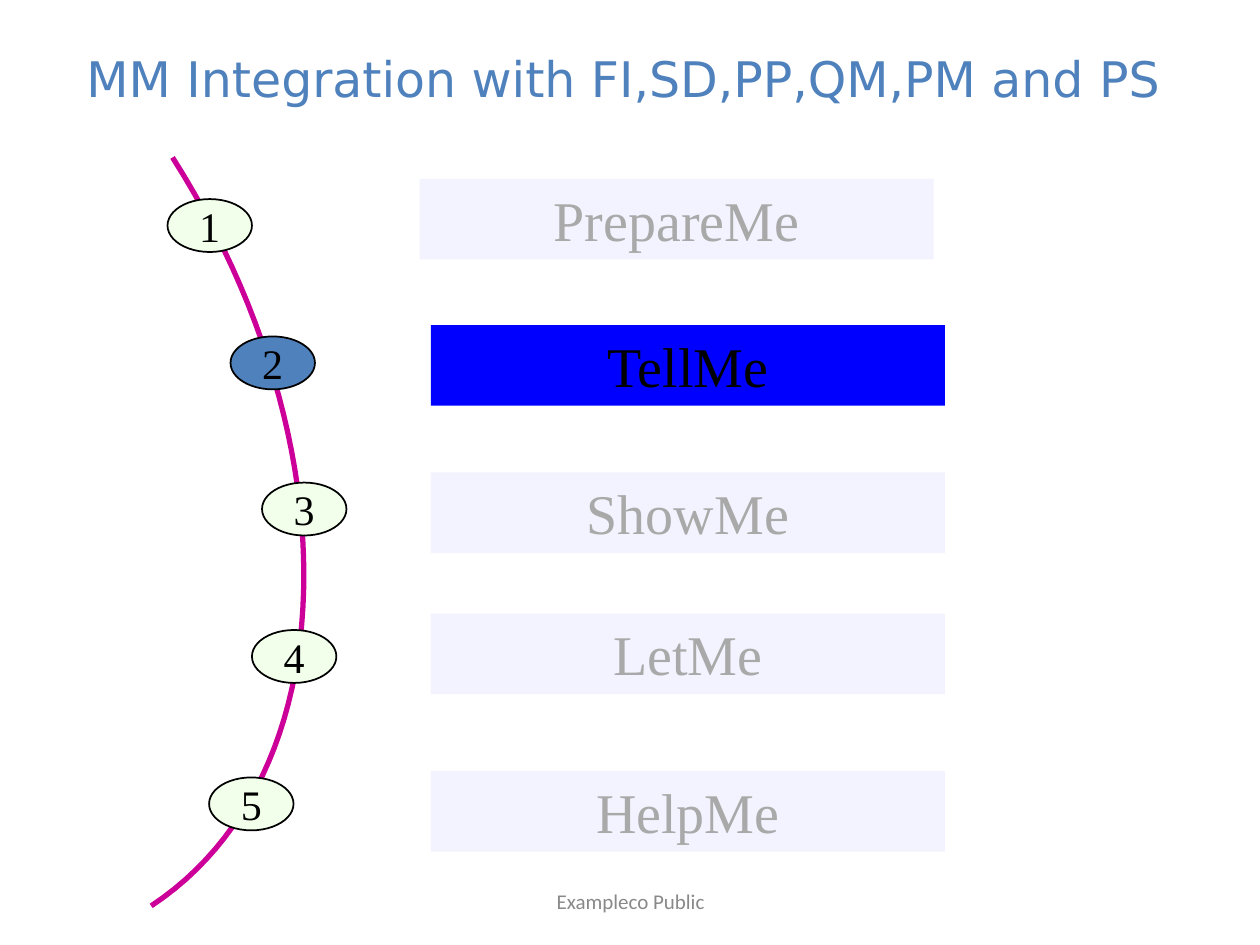
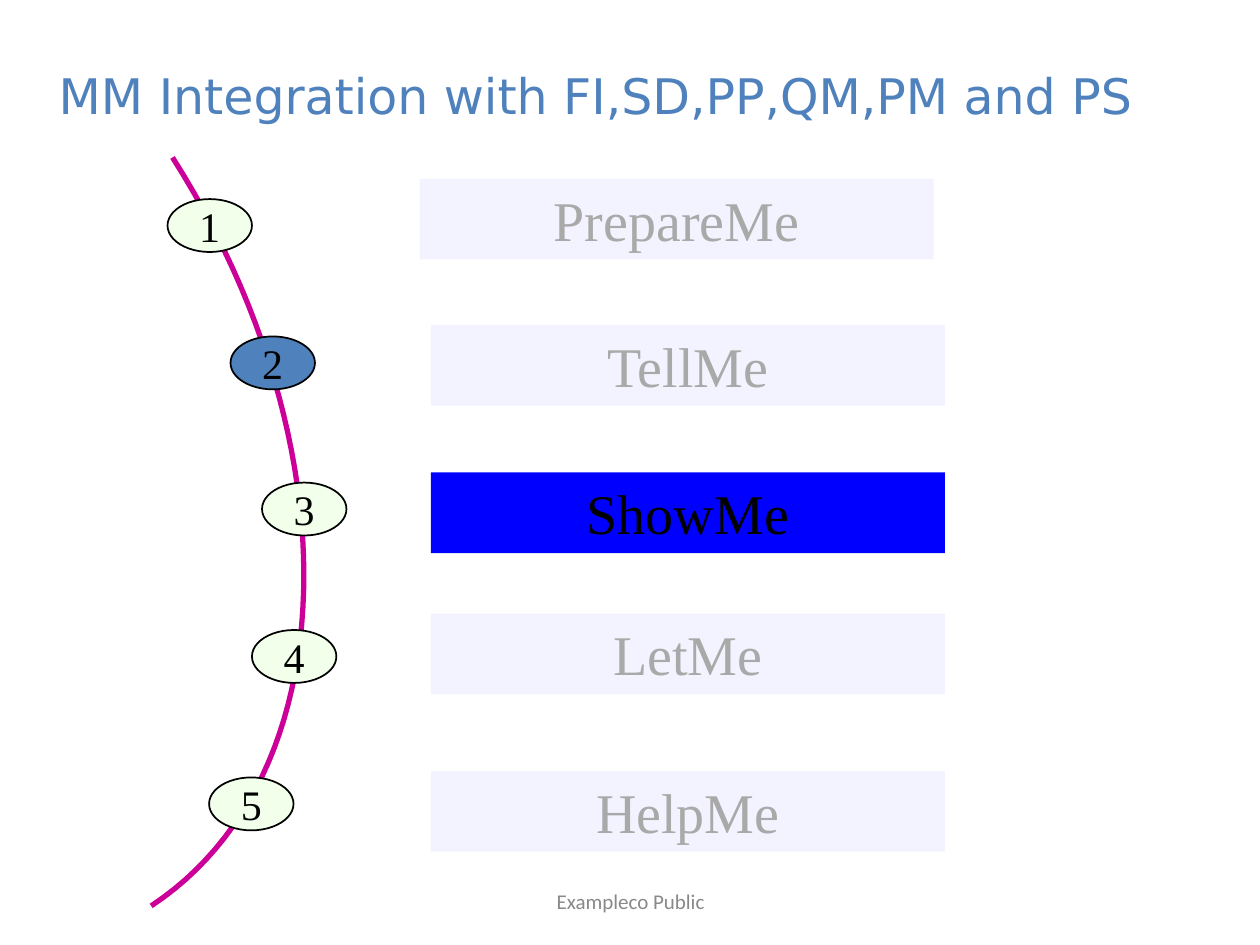
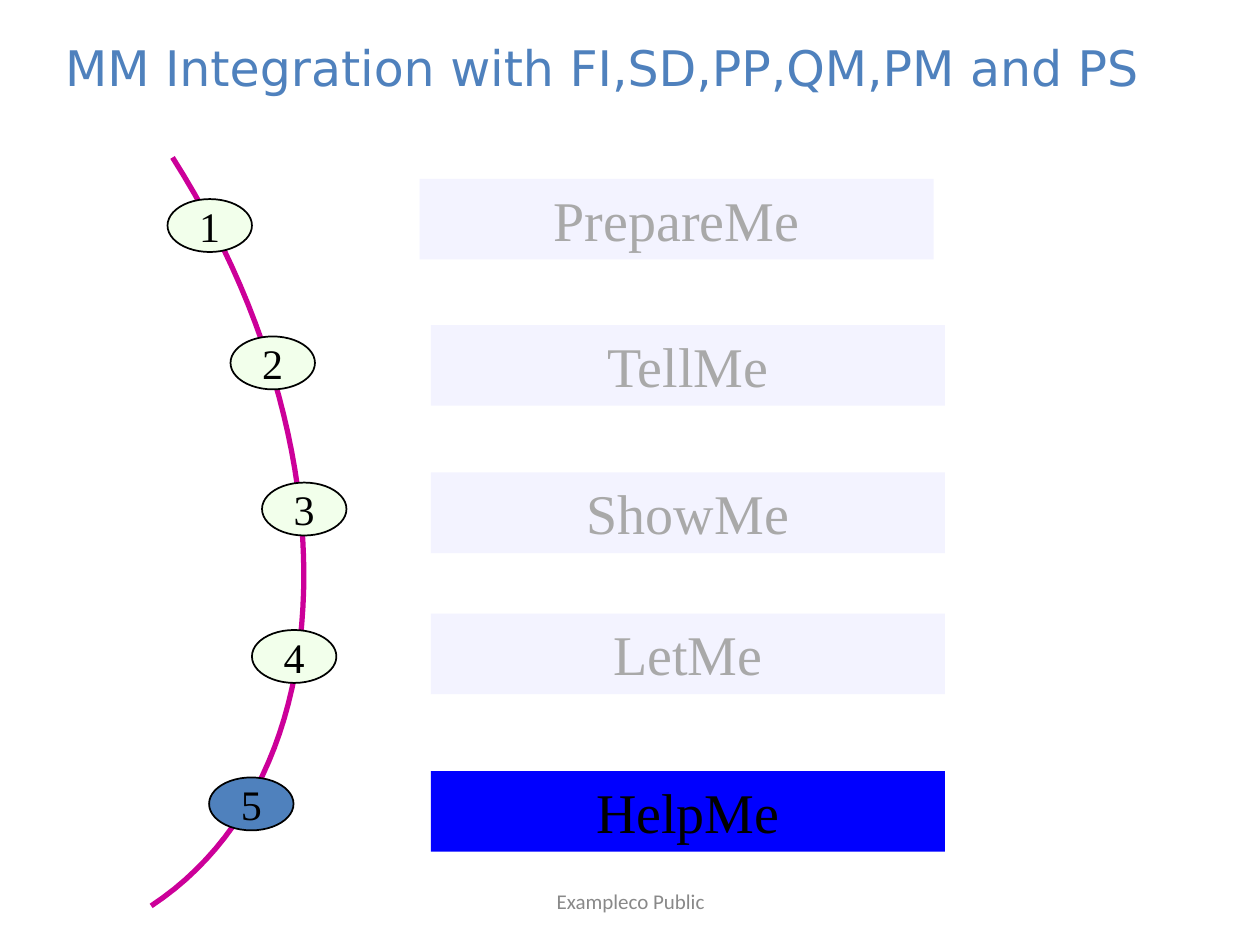
"""Build three progress slides that share a curved path of five numbered steps."""
from dataclasses import dataclass

import pptx
import pptx.dml.color
import pptx.enum.shapes
import pptx.enum.text
import pptx.util

Inches = pptx.util.Inches
Pt = pptx.util.Pt
RGBColor = pptx.dml.color.RGBColor
MSO_SHAPE = pptx.enum.shapes.MSO_SHAPE
MSO_ANCHOR = pptx.enum.text.MSO_ANCHOR
MSO_AUTO_SIZE = pptx.enum.text.MSO_AUTO_SIZE

BLACK = RGBColor(0x00, 0x00, 0x00)
TITLE_BLUE = RGBColor(0x4F, 0x81, 0xBD)
ACTIVE_BLUE = RGBColor(0x00, 0x00, 0xFF)
PALE_GREEN = RGBColor(0xF2, 0xFF, 0xEB)
PALE_BLUE = RGBColor(0xF3, 0xF3, 0xFF)
DIM_GREY = RGBColor(0xA9, 0xA9, 0xA9)
FOOTER_GREY = RGBColor(0x89, 0x89, 0x89)
MAGENTA = RGBColor(0xCC, 0x00, 0x99)

TITLE = "MM Integration with FI,SD,PP,QM,PM and PS"
FOOTER = "Exampleco Public"
CURVE = ((1.37, 1.25), (2.82, 3.54), (2.75, 6.17), (1.2, 7.19))
CURVE_SEGMENTS = 48


@dataclass(frozen=True)
class Box:
    """Position and size in inches."""
    left: float
    top: float
    width: float
    height: float

    def lengths(self) -> tuple:
        """Return the four values as lengths."""
        return tuple(Inches(v) for v in (self.left, self.top, self.width, self.height))


@dataclass(frozen=True)
class TextStyle:
    """Font, size and colour of a text."""
    font: str
    size: int
    color: RGBColor


@dataclass(frozen=True)
class Step:
    """A numbered oval on the curve and its labelled bar."""
    label: str
    oval_left: float
    oval_top: float
    bar_left: float
    bar_top: float


@dataclass(frozen=True)
class Stage:
    """One slide: its title box and the highlighted oval and bar."""
    title_box: Box
    active_oval: int
    active_bar: int


TITLE_STYLE = TextStyle("DejaVu Sans", 28, TITLE_BLUE)
NUMBER_STYLE = TextStyle("Times New Roman", 24, BLACK)
ACTIVE_STYLE = TextStyle("Times New Roman", 32, BLACK)
DIM_STYLE = TextStyle("Times New Roman", 32, DIM_GREY)
FOOTER_STYLE = TextStyle("Calibri", 12, FOOTER_GREY)
FOOTER_BOX = Box(3.42, 6.95, 3.17, 0.4)

STEPS = (
    Step("PrepareMe", 1.33, 1.58, 3.33, 1.42),
    Step("TellMe", 1.83, 2.67, 3.42, 2.58),
    Step("ShowMe", 2.08, 3.83, 3.42, 3.75),
    Step("LetMe", 2, 5, 3.42, 4.87),
    Step("HelpMe", 1.66, 6.17, 3.42, 6.12),
)

STAGES = (
    Stage(Box(0.17, 0.25, 9.55, 0.73), 2, 2),
    Stage(Box(0.2, 0.39, 9.05, 0.73), 2, 3),
    Stage(Box(0, 0.17, 9.55, 0.73), 5, 5),
)


def write(sp, text: str, style: TextStyle, anchor=MSO_ANCHOR.MIDDLE, wrap: bool = True):
    """Write one centred run into a shape and return its text frame."""
    tf = sp.text_frame
    tf.word_wrap = wrap
    tf.vertical_anchor = anchor
    p = tf.paragraphs[0]
    p.alignment = pptx.enum.text.PP_ALIGN.CENTER
    r = p.add_run()
    r.text = text
    r.font.name = style.font
    r.font.size = Pt(style.size)
    r.font.color.rgb = style.color
    return tf


def add_text(s, box: Box, text: str, style: TextStyle) -> None:
    """Add a text box."""
    write(s.shapes.add_textbox(*box.lengths()), text, style)


def add_filled(s, kind, box: Box, color: RGBColor):
    """Add a flat filled shape without an outline."""
    sp = s.shapes.add_shape(kind, *box.lengths())
    sp.shadow.inherit = False
    sp.fill.solid()
    sp.fill.fore_color.rgb = color
    sp.line.fill.background()
    return sp


def curve_point(t: float) -> tuple:
    """Return the point of the cubic curve at t."""
    weights = ((1 - t) ** 3, 3 * t * (1 - t) ** 2, 3 * t ** 2 * (1 - t), t ** 3)
    return tuple(Inches(sum(w * c for w, c in zip(weights, axis))) for axis in zip(*CURVE))


def add_curve(s) -> None:
    """Draw the path that carries the numbered ovals."""
    points = [curve_point(i / CURVE_SEGMENTS) for i in range(CURVE_SEGMENTS + 1)]
    builder = s.shapes.build_freeform(*points[0])
    builder.add_line_segments(points[1:], close=False)
    sp = builder.convert_to_shape()
    sp.shadow.inherit = False
    sp.fill.background()
    sp.line.color.rgb = MAGENTA
    sp.line.width = Pt(3)


def add_step(s, number: int, step: Step, stage: Stage) -> None:
    """Draw the oval and the bar of one step."""
    oval_color = TITLE_BLUE if number == stage.active_oval else PALE_GREEN
    oval_box = Box(step.oval_left, step.oval_top, 0.67, 0.42)
    oval = add_filled(s, MSO_SHAPE.OVAL, oval_box, oval_color)
    oval.line.color.rgb = BLACK
    oval.line.width = Pt(1)
    write(oval, str(number), NUMBER_STYLE, wrap=False)

    active = number == stage.active_bar
    bar_box = Box(step.bar_left, step.bar_top, 4.08, 0.64)
    bar = add_filled(s, MSO_SHAPE.RECTANGLE, bar_box, ACTIVE_BLUE if active else PALE_BLUE)
    tf = write(bar, step.label, ACTIVE_STYLE if active else DIM_STYLE, MSO_ANCHOR.TOP)
    tf.auto_size = MSO_AUTO_SIZE.SHAPE_TO_FIT_TEXT


def add_stage(prs, stage: Stage) -> None:
    """Add one slide."""
    s = prs.slides.add_slide(prs.slide_layouts[6])
    add_text(s, stage.title_box, TITLE, TITLE_STYLE)
    add_curve(s)
    for number, step in enumerate(STEPS, start=1):
        add_step(s, number, step, stage)
    add_text(s, FOOTER_BOX, FOOTER, FOOTER_STYLE)


def main() -> None:
    """Build and save the presentation."""
    prs = pptx.Presentation()
    prs.slide_width = Inches(10)
    prs.slide_height = Inches(7.5)
    for stage in STAGES:
        add_stage(prs, stage)
    prs.save("out.pptx")


if __name__ == "__main__":
    main()
